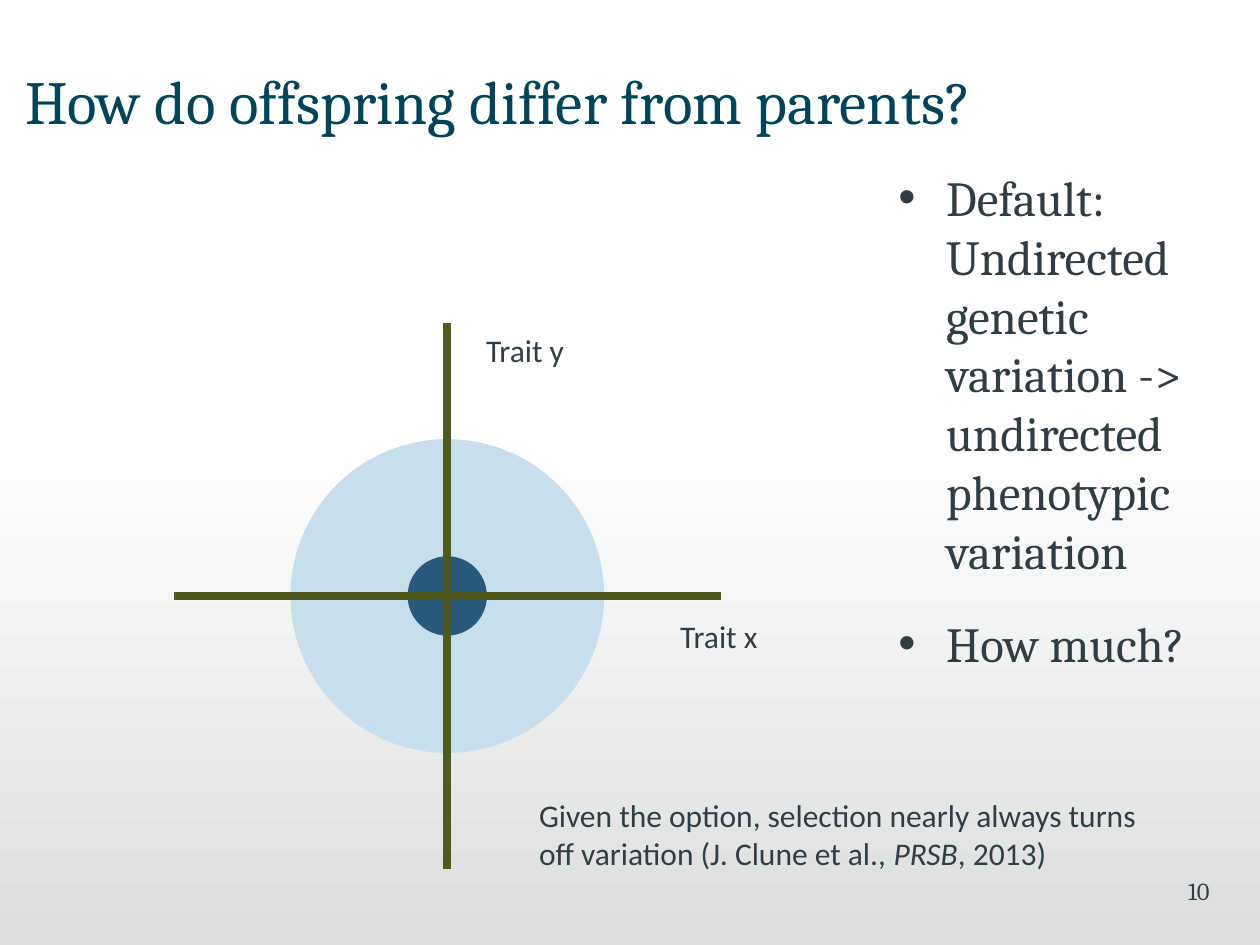
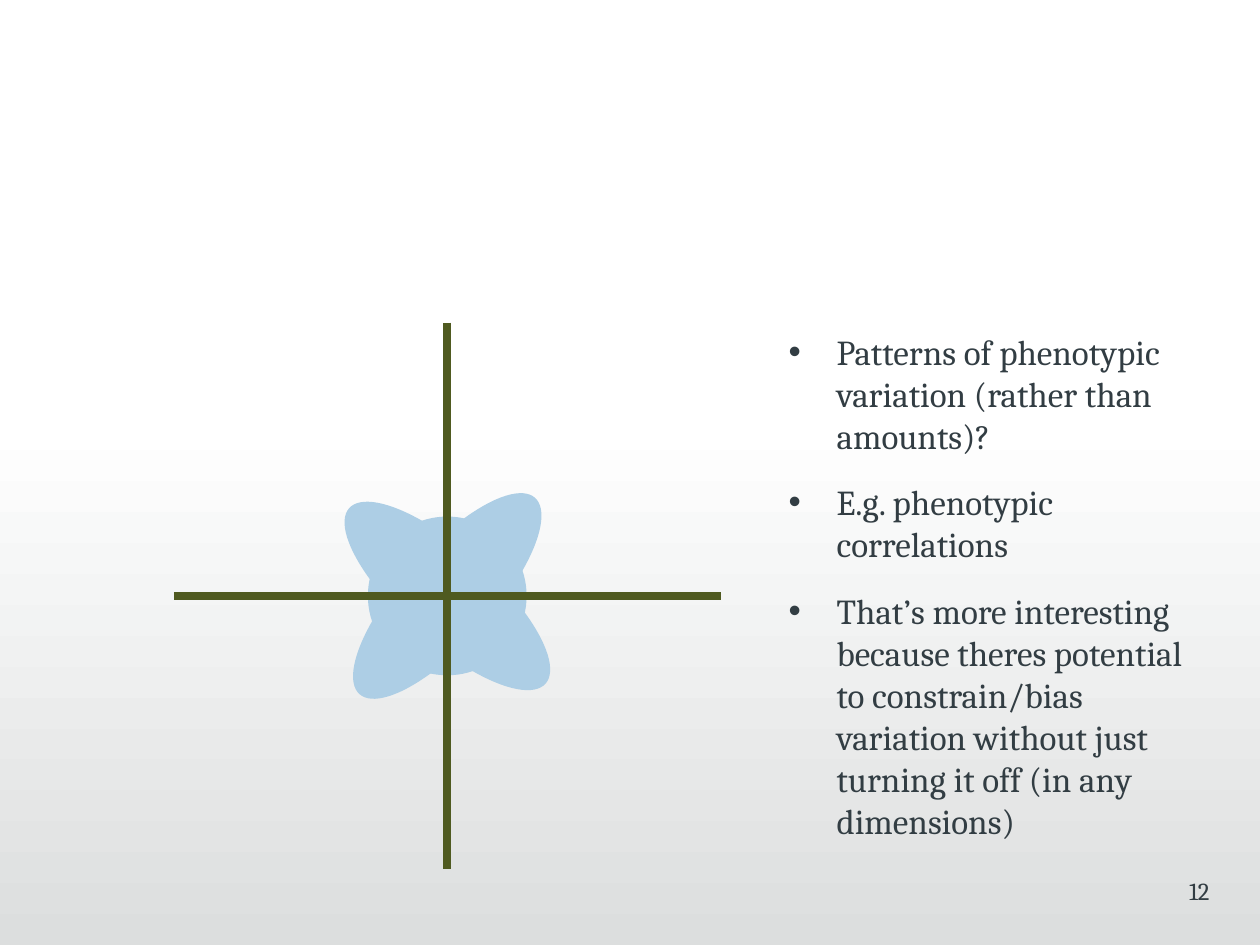
from dataclasses import dataclass
from typing import Any

from lxml.etree import SubElement
from pptx import Presentation
from pptx.dml.color import RGBColor
from pptx.enum.shapes import MSO_CONNECTOR as Connector, MSO_SHAPE as Preset
from pptx.enum.text import MSO_ANCHOR as Anchor, MSO_AUTO_SIZE as Fit, PP_ALIGN as Align
from pptx.oxml.ns import qn
from pptx.util import Inches, Pt


@dataclass(frozen=True)
class Theme:
    title: str = "014359"
    text: str = "323D43"
    axis: str = "4F5A20"
    spread: str = "C9DEED"
    parent: str = "285A7D"
    pattern: str = "ADCEE5"
    band_top: str = "FFFFFF"
    band_bottom: str = "DCDEDE"
    serif: str = "Cambria"
    sans: str = "Calibri"
    title_size: int = 35
    large_size: int = 28
    body_size: int = 20
    label_size: int = 18
    number_size: int = 14
    axis_width: float = 4.5
    bullet_gap: float = 0.7


@dataclass(frozen=True)
class Area:
    left: float
    top: float
    width: float
    height: float

    def lengths(self) -> tuple:
        return tuple(Inches(v) for v in (self.left, self.top, self.width, self.height))


@dataclass(frozen=True)
class Blob:
    width: float
    height: float
    color: str
    rotation: float = 0


@dataclass(frozen=True)
class Label:
    area: Area
    spans: tuple[str, ...]
    wrap: bool = False


@dataclass(frozen=True)
class Bullets:
    area: Area
    size: int
    items: tuple[str, ...]


@dataclass(frozen=True)
class Page:
    number: int
    blobs: tuple[Blob, ...]
    bullets: Bullets
    title: str = ""
    labels: tuple[Label, ...] = ()


THEME = Theme()
CENTER_X, CENTER_Y = 3.55, 4.73
AXIS_REACH = 2.17
BULLET_INDENT = Inches(0.38)
BAND = Area(0, 3.33, 10, 4.17)
TITLE = Area(0.2, 0.44, 9.29, 0.71)
NUMBER = Area(7.52, 6.9, 2.08, 0.5)
FLUSH_LEFT = {"margin_left": 0}
FLUSH_RIGHT = {"margin_right": 0}

PAGES = (
    Page(
        number=10,
        title="How do offspring differ from parents?",
        blobs=(Blob(2.49, 2.49, THEME.spread), Blob(0.63, 0.63, THEME.parent)),
        bullets=Bullets(
            Area(7.13, 1.28, 2.52, 5.08),
            THEME.large_size,
            (
                "Default: Undirected genetic variation -> undirected phenotypic variation",
                "How much?",
            ),
        ),
        labels=(
            Label(Area(5.3, 4.85, 0.82, 0.4), ("Trait x",)),
            Label(Area(3.76, 2.58, 0.83, 0.4), ("Trait y",)),
            Label(
                Area(4.18, 6.27, 5, 0.71),
                (
                    "Given the option, selection nearly always turns off variation "
                    "(J. Clune et al., ",
                    "PRSB",
                    ", 2013)",
                ),
                wrap=True,
            ),
        ),
    ),
    Page(
        number=12,
        blobs=(
            Blob(0.73, 2.09, THEME.pattern, 41.8),
            Blob(1.26, 1.26, THEME.pattern),
            Blob(0.73, 2.09, THEME.pattern, 131.8),
        ),
        bullets=Bullets(
            Area(6.26, 2.57, 3.46, 4.5),
            THEME.body_size,
            (
                "Patterns of phenotypic variation (rather than amounts)?",
                "E.g. phenotypic correlations",
                "That’s more interesting because theres potential to constrain/bias "
                "variation without just turning it off (in any dimensions)",
            ),
        ),
    ),
)


def apply(target: Any, formats: dict[str, Any]) -> None:
    for name, value in formats.items():
        setattr(target, name, value)


def style_font(font: Any, name: str, size: int, color: str, **extra: Any) -> None:
    apply(font, {"name": name, "size": Pt(size), **extra})
    font.color.rgb = RGBColor.from_string(color)


def add_frame(slide: Any, area: Area, **formats: Any) -> Any:
    frame = slide.shapes.add_textbox(*area.lengths()).text_frame
    apply(frame, {"word_wrap": True, "auto_size": Fit.NONE, **formats})
    return frame


def add_preset(slide: Any, preset: Any, area: Area) -> Any:
    shape = slide.shapes.add_shape(preset, *area.lengths())
    shape.shadow.inherit = False
    shape.line.fill.background()
    return shape


def add_band(slide: Any) -> None:
    fill = add_preset(slide, Preset.RECTANGLE, BAND).fill
    fill.gradient()
    fill.gradient_angle = 270
    colors = (THEME.band_top, THEME.band_bottom)
    for position, (stop, color) in enumerate(zip(fill.gradient_stops, colors)):
        stop.position = position
        stop.color.rgb = RGBColor.from_string(color)


def set_title(slide: Any, text: str) -> None:
    title = slide.shapes.title
    lengths = zip(("left", "top", "width", "height"), TITLE.lengths())
    apply(title, dict(lengths))
    frame = title.text_frame
    apply(frame, {"text": text, "vertical_anchor": Anchor.MIDDLE,
                  "auto_size": Fit.NONE, **FLUSH_LEFT})
    para = frame.paragraphs[0]
    para.alignment = Align.LEFT
    style_font(para.runs[0].font, THEME.serif, THEME.title_size, THEME.title)


def add_number(slide: Any, number: int) -> None:
    para = add_frame(slide, NUMBER, **FLUSH_RIGHT).paragraphs[0]
    apply(para, {"text": str(number), "alignment": Align.RIGHT})
    style_font(para.runs[0].font, THEME.serif, THEME.number_size, THEME.text)


def add_bullets(slide: Any, bullets: Bullets) -> None:
    frame = add_frame(slide, bullets.area, **FLUSH_LEFT)
    for index, item in enumerate(bullets.items):
        para = frame.add_paragraph() if index else frame.paragraphs[0]
        properties = para._p.get_or_add_pPr()
        properties.set("marL", str(BULLET_INDENT))
        properties.set("indent", str(-BULLET_INDENT))
        SubElement(properties, qn("a:buFont")).set("typeface", "Arial")
        SubElement(properties, qn("a:buChar")).set("char", "•")
        apply(para, {"text": item, "space_after": Pt(bullets.size * THEME.bullet_gap)})
        style_font(para.runs[0].font, THEME.serif, bullets.size, THEME.text)


def add_label(slide: Any, label: Label) -> None:
    frame = add_frame(slide, label.area, word_wrap=label.wrap,
                      auto_size=Fit.SHAPE_TO_FIT_TEXT)
    para = frame.paragraphs[0]
    for index, text in enumerate(label.spans):
        span = para.add_run()
        span.text = text
        style_font(span.font, THEME.sans, THEME.label_size, THEME.text,
                   italic=index % 2 == 1)


def add_blob(slide: Any, blob: Blob) -> None:
    area = Area(CENTER_X - blob.width / 2, CENTER_Y - blob.height / 2,
                blob.width, blob.height)
    shape = add_preset(slide, Preset.OVAL, area)
    shape.rotation = blob.rotation
    shape.fill.solid()
    shape.fill.fore_color.rgb = RGBColor.from_string(blob.color)


def add_axes(slide: Any) -> None:
    group = slide.shapes.add_group_shape()
    for reach_x, reach_y in ((0, AXIS_REACH), (AXIS_REACH, 0)):
        axis = group.shapes.add_connector(
            Connector.STRAIGHT,
            Inches(CENTER_X - reach_x), Inches(CENTER_Y - reach_y),
            Inches(CENTER_X + reach_x), Inches(CENTER_Y + reach_y),
        )
        axis.line.width = Pt(THEME.axis_width)
        axis.line.color.rgb = RGBColor.from_string(THEME.axis)
        SubElement(axis._element.spPr, qn("a:effectLst"))


def add_page(deck: Any, page: Page) -> None:
    layout = "Title Only" if page.title else "Blank"
    slide = deck.slides.add_slide(deck.slide_layouts.get_by_name(layout))
    add_band(slide)
    if page.title:
        set_title(slide, page.title)
    add_bullets(slide, page.bullets)
    add_number(slide, page.number)
    for blob in page.blobs:
        add_blob(slide, blob)
    add_axes(slide)
    for label in page.labels:
        add_label(slide, label)


def main() -> None:
    deck = Presentation()
    apply(deck, {"slide_width": Inches(10), "slide_height": Inches(7.5)})
    for page in PAGES:
        add_page(deck, page)
    deck.save("out.pptx")


if __name__ == "__main__":
    main()
